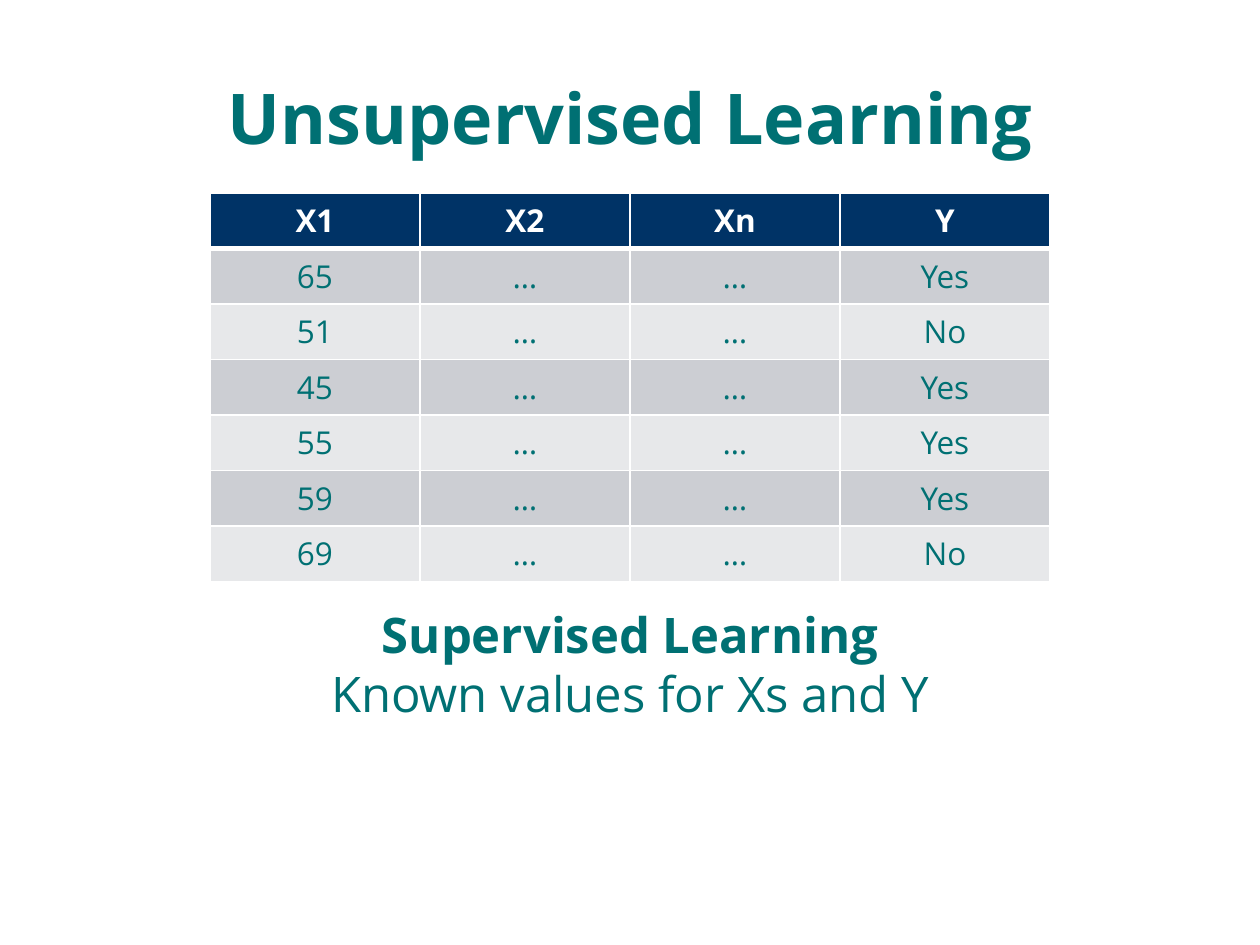
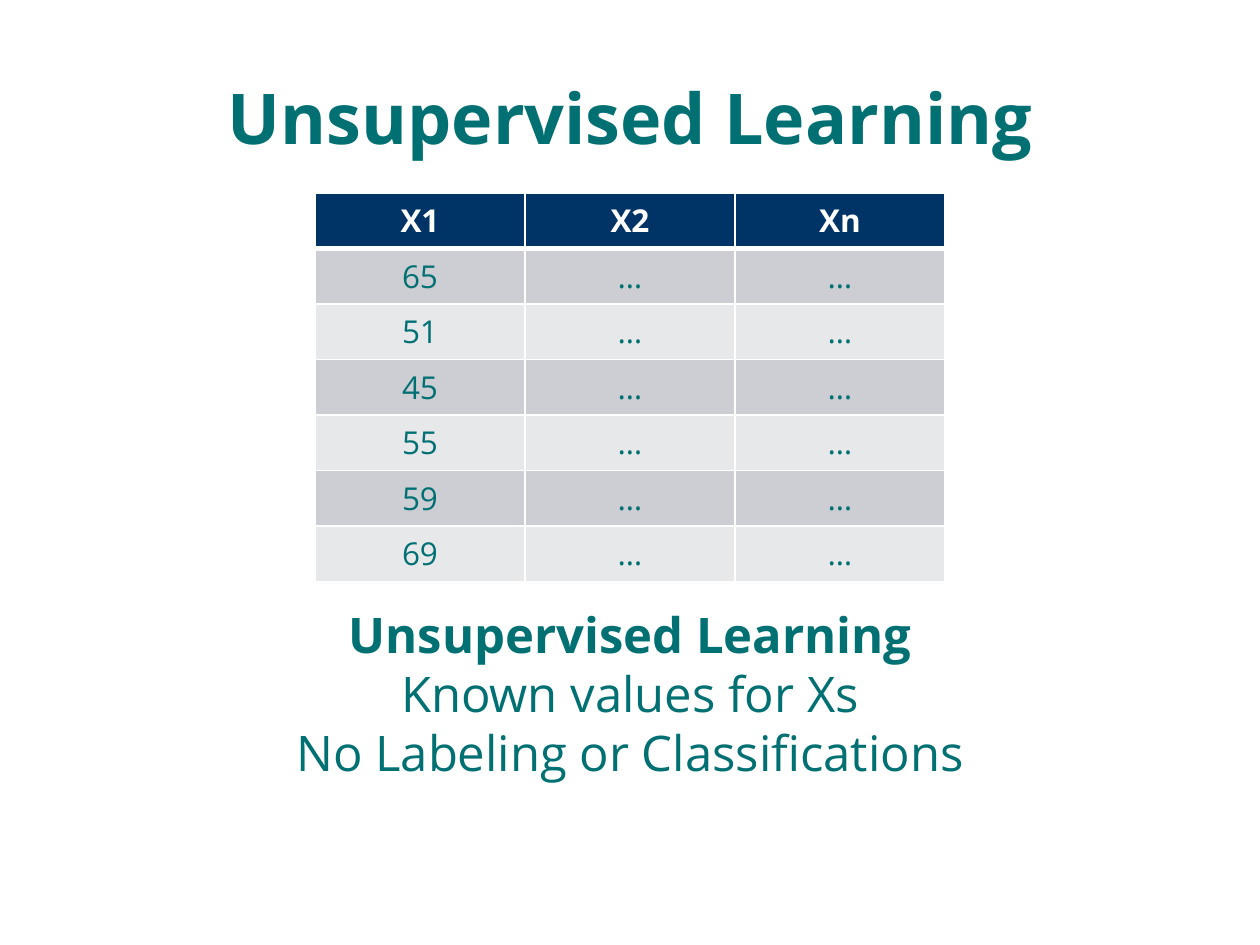
import pptx
import pptx.dml.color
import pptx.enum.text
import pptx.oxml
import pptx.oxml.ns
import pptx.util
from pptx.util import Inches

FONT = "Open Sans"
TEAL, NAVY, WHITE = "007073", "003366", "FFFFFF"
BANDS = ["CCCED3", "E7E8EA"]
PAGE_WIDTH, COLUMN_WIDTH, ROW_HEIGHT = 10, 5 / 3, 0.41
TABLE_TOP, CAPTION_TOP, CAPTION_LINE = 1.53, 4.75, 0.47
TITLE = "Unsupervised Learning"
HEADER = ["X1", "X2", "Xn", "Y"]
SAMPLES = [("65", "Yes"), ("51", "No"), ("45", "Yes"),
           ("55", "Yes"), ("59", "Yes"), ("69", "No")]
ROWS = [HEADER] + [[value, "…", "…", label] for value, label in SAMPLES]


def color(hex_code):
    """Turn a hex string into a colour."""
    return pptx.dml.color.RGBColor.from_string(hex_code)


def style_paragraph(para, size, hex_code=TEAL, bold=False):
    """Centre a paragraph and set its font."""
    para.alignment = pptx.enum.text.PP_ALIGN.CENTER
    para.font.name = FONT
    para.font.size = pptx.util.Pt(size)
    para.font.bold = bold
    para.font.color.rgb = color(hex_code)


def set_borders(cell, top, bottom):
    """Give a cell white borders, one point wide at the sides."""
    properties = cell._tc.get_or_add_tcPr()
    widths = {"lnL": 1, "lnR": 1, "lnT": top, "lnB": bottom}
    for index, (side, width) in enumerate(widths.items()):
        line = pptx.oxml.parse_xml(
            f'<a:{side} {pptx.oxml.ns.nsdecls("a")} w="{pptx.util.Pt(width)}">'
            f'<a:solidFill><a:srgbClr val="{WHITE}"/></a:solidFill></a:{side}>')
        properties.insert(index, line)


def add_title(page, left, top, width, height):
    """Place the shared title in its placeholder."""
    title = page.shapes.title
    title.left, title.top = Inches(left), Inches(top)
    title.width, title.height = Inches(width), Inches(height)
    title.text_frame.text = TITLE
    title.text_frame.vertical_anchor = pptx.enum.text.MSO_ANCHOR.MIDDLE
    style_paragraph(title.text_frame.paragraphs[0], 40, bold=True)


def add_data_table(page, column_count, top):
    """Draw the first columns of the data as a centred table."""
    width = column_count * COLUMN_WIDTH
    frame = page.shapes.add_table(
        len(ROWS), column_count, Inches((PAGE_WIDTH - width) / 2), Inches(top),
        Inches(width), Inches(len(ROWS) * ROW_HEIGHT))
    for row_index, row in enumerate(ROWS):
        is_header = row_index == 0
        for column_index, text in enumerate(row[:column_count]):
            cell = frame.table.cell(row_index, column_index)
            cell.text = text
            cell.fill.solid()
            cell.fill.fore_color.rgb = color(
                NAVY if is_header else BANDS[(row_index - 1) % 2])
            style_paragraph(cell.text_frame.paragraphs[0], 18,
                            WHITE if is_header else TEAL, is_header)
            set_borders(cell, 3 if row_index == 1 else 1, 3 if is_header else 1)


def add_caption(page, lines, top, width):
    """Write centred lines below the table, the first one bold."""
    box = page.shapes.add_textbox(
        Inches((PAGE_WIDTH - width) / 2), Inches(top),
        Inches(width), Inches(0.1 + len(lines) * CAPTION_LINE))
    frame = box.text_frame
    frame.word_wrap = False
    frame.auto_size = pptx.enum.text.MSO_AUTO_SIZE.SHAPE_TO_FIT_TEXT
    frame.text = "\n".join(lines)
    for index, para in enumerate(frame.paragraphs):
        style_paragraph(para, 28, bold=index == 0)


def add_learning_page(deck, column_count, lines, caption_width):
    """Add a slide with a title, a data table and a caption."""
    page = deck.slides.add_slide(deck.slide_layouts[5])
    add_title(page, 0.5, 0.3, 9, 1.25)
    add_data_table(page, column_count, TABLE_TOP)
    add_caption(page, lines, CAPTION_TOP, caption_width)


def main():
    """Build and save the deck."""
    deck = pptx.Presentation()
    deck.slide_width, deck.slide_height = Inches(PAGE_WIDTH), Inches(7.5)
    add_learning_page(
        deck, 4, ["Supervised Learning", "Known values for Xs and Y"], 5)
    add_learning_page(
        deck, 3, ["Unsupervised Learning", "Known values for Xs",
                  "No Labeling or Classifications"], 5.56)
    deck.save("out.pptx")


if __name__ == "__main__":
    main()
